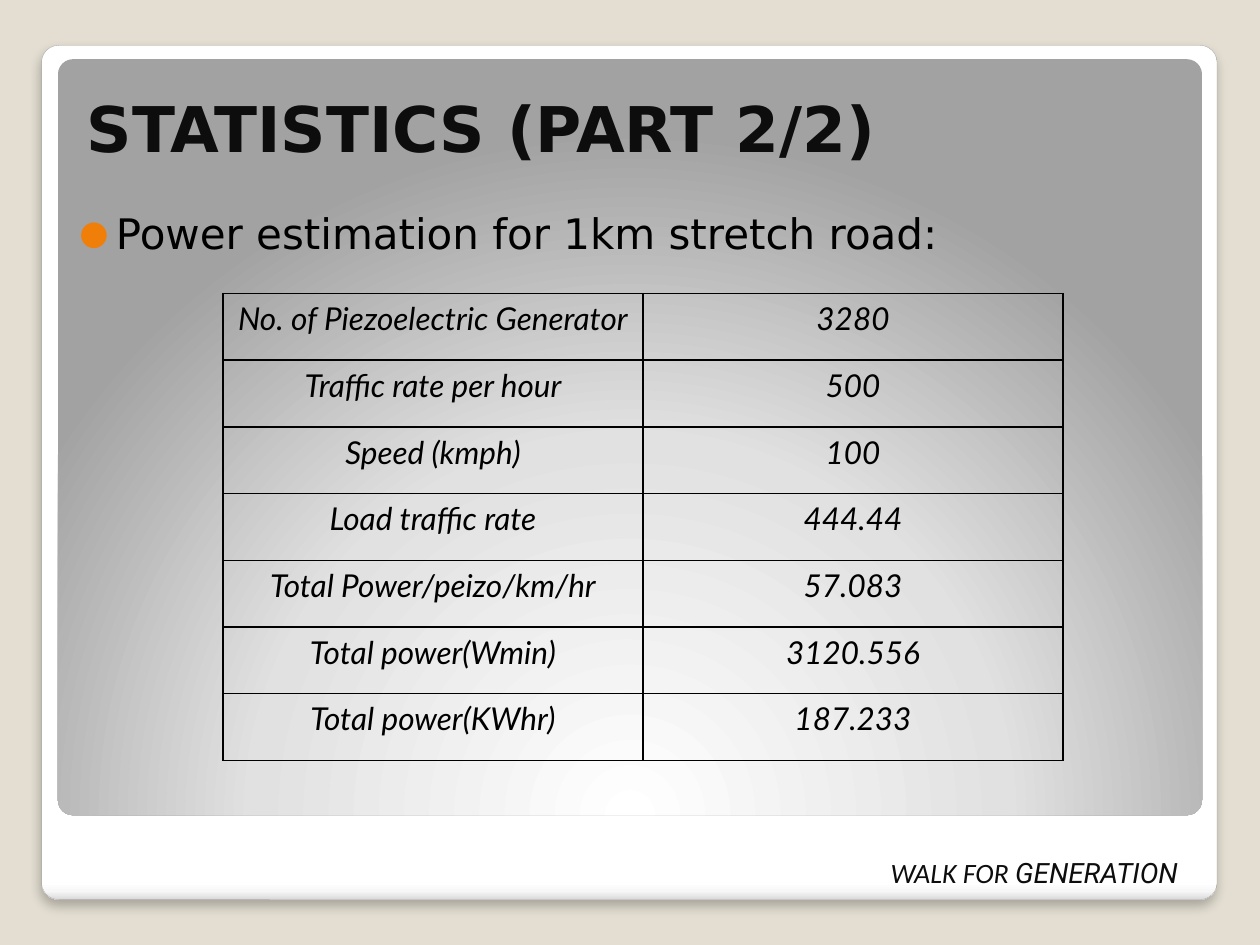
import pptx
import pptx.util
import pptx.oxml
import pptx.oxml.ns
import pptx.dml.color
import pptx.enum.shapes
import pptx.enum.text

Pt = pptx.util.Pt
qn = pptx.oxml.ns.qn
Anchor = pptx.enum.text.MSO_ANCHOR
Align = pptx.enum.text.PP_ALIGN

COLORS = {"background": "E3DED1", "ink": "0D0D0D", "black": "000000",
          "bullet": "F07F09", "outline": "A4A4A4"}
TITLE = "STATISTICS (PART 2/2)"
LEAD = "Power estimation for 1km stretch road:"
FOOTER = [("WALK FOR ", "Calibri"), ("GENERATION", "Roboto")]
ROWS = [
    ("No. of Piezoelectric Generator", "3280"),
    ("Traffic rate per hour", "500"),
    ("Speed (kmph)", "100"),
    ("Load traffic rate", "444.44"),
    ("Total Power/peizo/km/hr", "57.083"),
    ("Total power(Wmin)", "3120.556"),
    ("Total power(KWhr)", "187.233"),
]
PANELS = [
    {"box": (23.76, 25.92, 671.76, 488.16),
     "stops": [(0, "FFFFFF"), (98, "FFFFFF"), (99, "F7F7F7"), (100, "DADADA")],
     "direction": '<a:lin {ns} ang="5400000" scaled="0"/>', "raised": True},
    {"box": (33.12, 33.84, 653.76, 432),
     "stops": [(0, "FFFFFF"), (55, "E1E1E1"), (100, "A2A2A2")],
     "direction": '<a:path {ns} path="circle"><a:fillToRect l="50000" t="175000" '
                  'r="50000" b="-75000"/></a:path>', "raised": False},
]
TITLE_BOX = (42.48, 15.12, 644.4, 82.8)
BODY_BOX = (30.96, 111.6, 644.4, 351.36)
FOOTER_BOX = (501.84, 473.76, 191.52, 38.16)
TABLE_LEFT, TABLE_TOP, COLUMN_WIDTH, ROW_HEIGHT = 127.44, 167.76, 240, 38.1
NAMESPACE = pptx.oxml.ns.nsdecls("a")


def rgb(name):
    return pptx.dml.color.RGBColor.from_string(COLORS[name])


def xml(text):
    return pptx.oxml.parse_xml(text.replace("{ns}", NAMESPACE))


def apply(target, **values):
    for name, value in values.items():
        setattr(target, name, value)


def place(shape, box):
    apply(shape, **dict(zip(("left", "top", "width", "height"), map(Pt, box))))


def style(font, color, **values):
    apply(font, **values)
    font.color.rgb = rgb(color)


def add_panel(slide, position, panel):
    shape = slide.shapes.add_shape(pptx.enum.shapes.MSO_SHAPE.ROUNDED_RECTANGLE,
                                   *map(Pt, panel["box"]))
    shape.adjustments[0] = 0.02
    shape.shadow.inherit = False
    shape.fill.gradient()
    properties = shape.element.spPr
    gradient = properties.find(qn("a:gradFill"))
    for child in list(gradient):
        gradient.remove(child)
    stops = "".join(f'<a:gs pos="{percent * 1000}"><a:srgbClr val="{color}"/></a:gs>'
                    for percent, color in panel["stops"])
    gradient.append(xml(f"<a:gsLst {{ns}}>{stops}</a:gsLst>"))
    gradient.append(xml(panel["direction"]))
    if panel["raised"]:
        shape.line.color.rgb = rgb("outline")
        shape.line.width = Pt(0.16)
        properties.find(qn("a:effectLst")).append(xml(
            f'<a:outerShdw {{ns}} blurRad="{Pt(6)}" dist="{Pt(4)}" dir="5400000" '
            f'rotWithShape="0"><a:srgbClr val="{COLORS["black"]}">'
            '<a:alpha val="25000"/></a:srgbClr></a:outerShdw>'))
    else:
        shape.line.fill.background()
    slide.shapes.element.insert(2 + position, shape.element)


def add_title(slide):
    shape = slide.shapes.title
    place(shape, TITLE_BOX)
    frame = shape.text_frame
    frame.text = TITLE
    apply(frame, vertical_anchor=Anchor.BOTTOM, word_wrap=True,
          auto_size=pptx.enum.text.MSO_AUTO_SIZE.NONE)
    frame.paragraphs[0].alignment = Align.LEFT
    style(frame.paragraphs[0].font, "ink", name="DejaVu Sans", size=Pt(36), bold=True)


def add_body(slide):
    shape = slide.placeholders[1]
    place(shape, BODY_BOX)
    frame = shape.text_frame
    frame.text = LEAD
    apply(frame, margin_left=Pt(14.4), margin_top=Pt(7.2), margin_right=Pt(7.2),
          margin_bottom=Pt(3.6), vertical_anchor=Anchor.TOP, word_wrap=True,
          auto_size=pptx.enum.text.MSO_AUTO_SIZE.NONE)
    paragraph = frame.paragraphs[0]
    paragraph.space_before = Pt(0)
    properties = paragraph._p.get_or_add_pPr()
    properties.set("marL", str(Pt(20.88)))
    properties.set("indent", str(-Pt(20.88)))
    for bullet in (f'<a:buClr {{ns}}><a:srgbClr val="{COLORS["bullet"]}"/></a:buClr>',
                   '<a:buSzPct {ns} val="80000"/>',
                   '<a:buFont {ns} typeface="DejaVu Sans"/>',
                   '<a:buChar {ns} char="●"/>'):
        properties.append(xml(bullet))
    style(paragraph.font, "black", name="DejaVu Sans", size=Pt(24))


def add_footer(slide):
    frame = slide.shapes.add_textbox(*map(Pt, FOOTER_BOX)).text_frame
    apply(frame, vertical_anchor=Anchor.BOTTOM, word_wrap=True)
    for text, font_name in FOOTER:
        run = frame.paragraphs[0].add_run()
        run.text = text
        style(run.font, "ink", name=font_name, size=Pt(16), italic=True)


def add_statistics(slide):
    columns = len(ROWS[0])
    table = slide.shapes.add_table(
        len(ROWS), columns, Pt(TABLE_LEFT), Pt(TABLE_TOP),
        Pt(COLUMN_WIDTH * columns), Pt(ROW_HEIGHT * len(ROWS))).table
    apply(table, first_row=False, horz_banding=False)
    for row_index, row in enumerate(ROWS):
        for column_index, text in enumerate(row):
            cell = table.cell(row_index, column_index)
            cell.text = text
            cell.fill.background()
            paragraph = cell.text_frame.paragraphs[0]
            paragraph.alignment = Align.CENTER
            style(paragraph.runs[0].font, "black", name="Lato", size=Pt(18), italic=True)
            for index, side in enumerate(("lnL", "lnR", "lnT", "lnB")):
                cell._tc.get_or_add_tcPr().insert(index, xml(
                    f'<a:{side} {{ns}} w="{Pt(1)}"><a:solidFill><a:srgbClr '
                    f'val="{COLORS["black"]}"/></a:solidFill></a:{side}>'))


def main():
    presentation = pptx.Presentation()
    apply(presentation, slide_width=Pt(720), slide_height=Pt(540))
    slide = presentation.slides.add_slide(presentation.slide_layouts[1])
    slide.background.fill.solid()
    slide.background.fill.fore_color.rgb = rgb("background")
    for position, panel in enumerate(PANELS):
        add_panel(slide, position, panel)
    add_title(slide)
    add_body(slide)
    add_footer(slide)
    add_statistics(slide)
    presentation.save("out.pptx")


if __name__ == "__main__":
    main()
